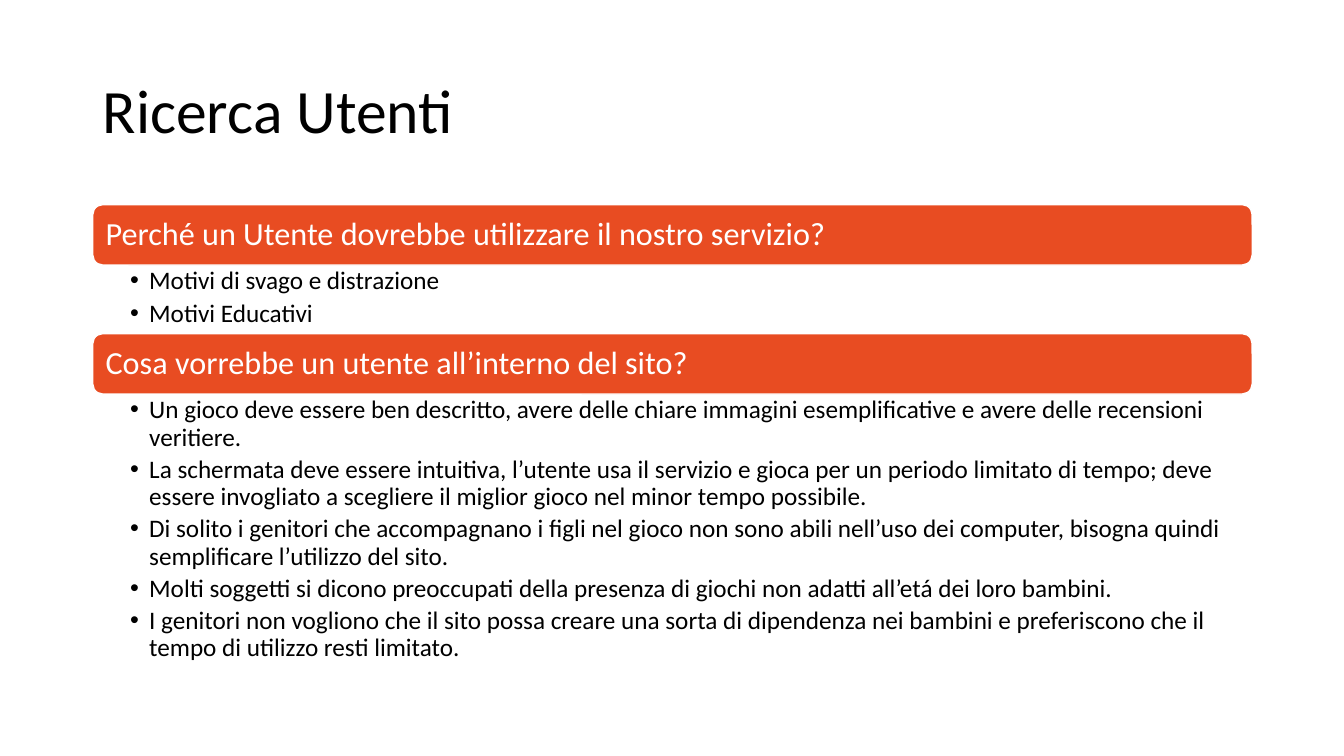
from dataclasses import dataclass

from lxml.etree import SubElement
from pptx import Presentation
from pptx.dml.color import RGBColor
from pptx.enum.shapes import MSO_SHAPE
from pptx.enum.text import MSO_ANCHOR, MSO_AUTO_SIZE, PP_ALIGN
from pptx.oxml.ns import qn
from pptx.util import Inches, Pt


@dataclass(frozen=True)
class Theme:
    font: str = "Calibri"
    text: RGBColor = RGBColor(0x00, 0x00, 0x00)
    light: RGBColor = RGBColor(0xFF, 0xFF, 0xFF)
    accent: RGBColor = RGBColor(0xE8, 0x4C, 0x22)
    title_size: int = 44
    heading_size: int = 23
    body_size: int = 18
    line_spacing: float = 0.9


THEME = Theme()
LEFT, WIDTH = 0.92, 11.5
SECTIONS_TOP = 2.03
HEADING_HEIGHT = 0.6

# Heading, height of the list below it, list items
SECTIONS = [
    ("Perché un Utente dovrebbe utilizzare il nostro servizio?", 0.68, [
        "Motivi di svago e distrazione",
        "Motivi Educativi",
    ]),
    ("Cosa vorrebbe un utente all’interno del sito?", 2.81, [
        "Un gioco deve essere ben descritto, avere delle chiare immagini "
        "esemplificative e avere delle recensioni veritiere.",
        "La schermata deve essere intuitiva, l’utente usa il servizio e gioca "
        "per un periodo limitato di tempo; deve essere invogliato a scegliere "
        "il miglior gioco nel minor tempo possibile.",
        "Di solito i genitori che accompagnano i figli nel gioco non sono abili "
        "nell’uso dei computer, bisogna quindi semplificare l’utilizzo del sito.",
        "Molti soggetti si dicono preoccupati della presenza di giochi non "
        "adatti all’etá dei loro bambini.",
        "I genitori non vogliono che il sito possa creare una sorta di dipendenza "
        "nei bambini e preferiscono che il tempo di utilizzo resti limitato.",
    ]),
]


def set_frame(frame, anchor, left, top, right, bottom):
    frame.word_wrap = True
    frame.auto_size = MSO_AUTO_SIZE.NONE
    frame.vertical_anchor = anchor
    frame.margin_left, frame.margin_top = Inches(left), Inches(top)
    frame.margin_right, frame.margin_bottom = Inches(right), Inches(bottom)


def write(para, text, size, color):
    para.alignment = PP_ALIGN.LEFT
    para.line_spacing = THEME.line_spacing
    span = para.add_run()
    span.text = text
    span.font.name = THEME.font
    span.font.size = Pt(size)
    span.font.color.rgb = color


def add_bullet(para):
    para.level = 1
    properties = para._p.get_or_add_pPr()
    properties.set("marL", str(Inches(0.19)))
    properties.set("indent", str(-Inches(0.19)))
    SubElement(properties, qn("a:buFont"), typeface="Arial")
    SubElement(properties, qn("a:buChar"), char="•")


def set_title(page, text):
    title = page.shapes.title
    title.left, title.top = Inches(LEFT), Inches(0.4)
    title.width, title.height = Inches(WIDTH), Inches(1.45)
    set_frame(title.text_frame, MSO_ANCHOR.MIDDLE, 0.1, 0.05, 0.1, 0.05)
    write(title.text_frame.paragraphs[0], text, THEME.title_size, THEME.text)


def add_heading(page, top, text):
    box = page.shapes.add_shape(
        MSO_SHAPE.ROUNDED_RECTANGLE,
        Inches(LEFT), Inches(top), Inches(WIDTH), Inches(HEADING_HEIGHT))
    box.shadow.inherit = False
    box.fill.solid()
    box.fill.fore_color.rgb = THEME.accent
    box.line.color.rgb = THEME.light
    box.line.width = Pt(1)
    set_frame(box.text_frame, MSO_ANCHOR.MIDDLE, 0.1, 0.1, 0.1, 0.1)
    write(box.text_frame.paragraphs[0], text, THEME.heading_size, THEME.light)


def add_list(page, top, height, items):
    box = page.shapes.add_textbox(
        Inches(LEFT), Inches(top), Inches(WIDTH), Inches(height))
    frame = box.text_frame
    set_frame(frame, MSO_ANCHOR.TOP, 0.37, 0.03, 0.18, 0.03)
    for index, item in enumerate(items):
        para = frame.add_paragraph() if index else frame.paragraphs[0]
        write(para, item, THEME.body_size, THEME.text)
        para.space_after = Pt(0.2 * THEME.body_size)
        add_bullet(para)


def main():
    deck = Presentation()
    deck.slide_width, deck.slide_height = Inches(13.33), Inches(7.5)
    page = deck.slides.add_slide(deck.slide_layouts.get_by_name("Title Only"))
    set_title(page, "Ricerca Utenti")
    top = SECTIONS_TOP
    for heading, list_height, items in SECTIONS:
        add_heading(page, top, heading)
        add_list(page, top + HEADING_HEIGHT, list_height, items)
        top += HEADING_HEIGHT + list_height
    deck.save("out.pptx")


if __name__ == "__main__":
    main()
